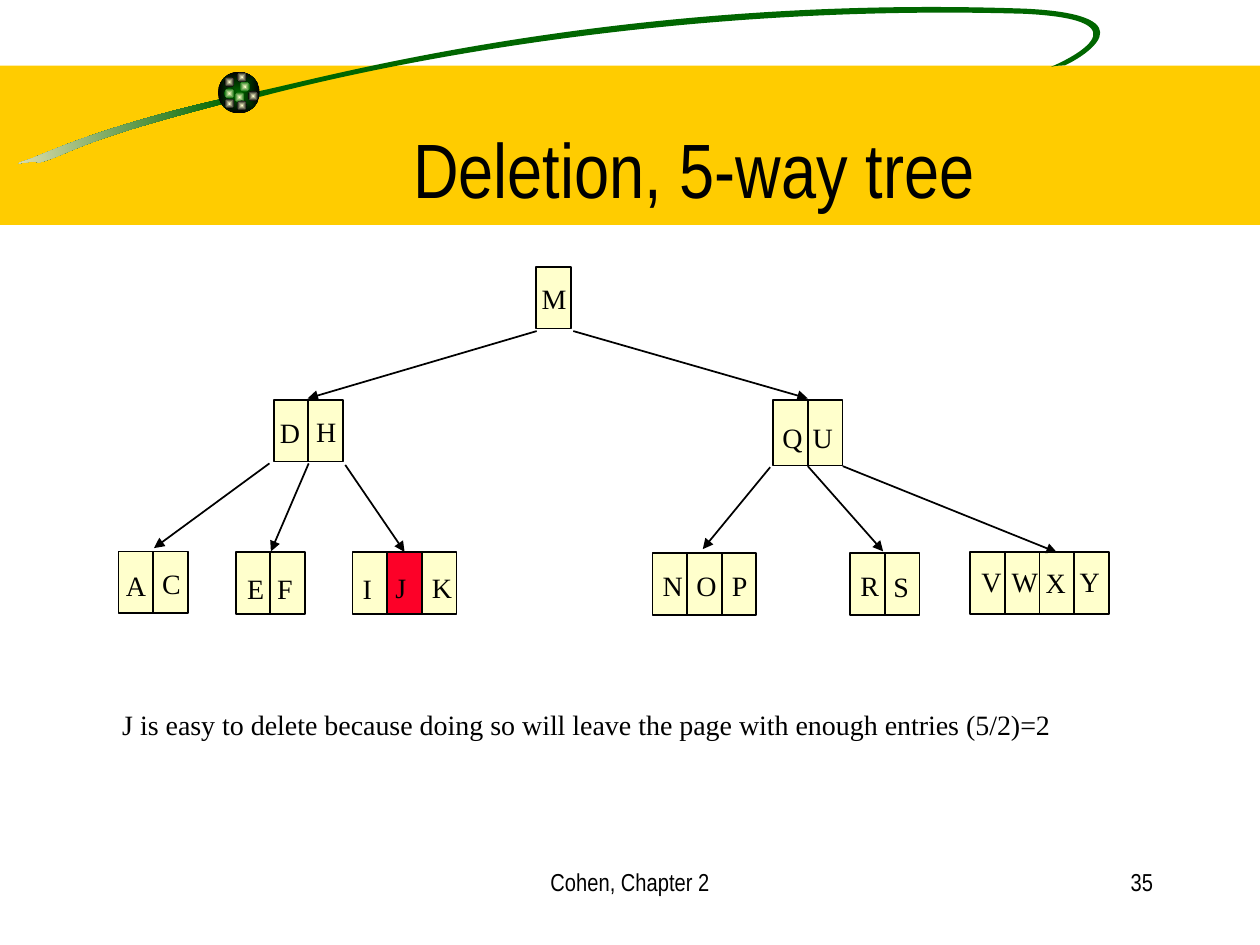
from math import cos, radians, sin
from lxml.etree import SubElement
from pptx import Presentation
from pptx.dml.color import RGBColor
from pptx.enum.shapes import MSO_CONNECTOR, MSO_SHAPE
from pptx.enum.text import MSO_ANCHOR, MSO_AUTO_SIZE, PP_ALIGN
from pptx.oxml.ns import qn
from pptx.util import Pt

GREEN, GOLD, CREAM, RED = "006600", "FFCC00", "FFFFCC", "FC0128"
BLACK, WHITE, SAND = "000000", "FFFFFF", "F5EBC1"
SERIF, SANS = "Times New Roman", "Arial Narrow"
CELL = 19.8   # pitch of the keys in a node
TILT = 351.5  # turn of the brush strokes
KEY_W = {"M": 28.8, "W": 29.5, "C": 25, "R": 25, "E": 24, "F": 23,
         "P": 23, "S": 23, "I": 19.5, "J": 20}

# left, top, height, then the offset of each key's label from the node
NODES = {
    "M": (306.4, 152.5, 35.3, [(-4, 5.1)]),
    "DH": (156.4, 228.4, 35.3, [(-3.6, 5.7), (17.1, 5)]),
    "QU": (441.9, 228.7, 37.4, [(-1.9, 8.1), (15.3, 8.1)]),
    "AC": (67.7, 315.2, 35.3, [(-2.9, 5.9), (17.9, 5.1)]),
    "EF": (134.7, 315.4, 35.3, [(-0.6, 7.9), (16.5, 7.9)]),
    "IJK": (201.5, 315.4, 35.3, [(-1.4, 7.7), (17.4, 7.2), (38.2, 7.2)]),
    "NOP": (372.8, 316, 35.3, [(-1.2, 5.1), (18.1, 5.1), (38.3, 5.1)]),
    "RS": (485.8, 316, 35.3, [(-1.2, 5.1), (17.6, 5.8)]),
    "VWXY": (554.4, 315.6, 35.3,
             [(-0.7, 3.4), (16.6, 3.4), (36, 4.1), (55.4, 3.4)]),
}
# start, end, and the key whose top the arrow joins, if any
ARROWS = [
    (306.7, 189.2, 175.8, 227.7, None), (327.6, 189.2, 461.6, 227.7, None),
    (154, 264.8, 88, 313.2, None), (176.4, 264.8, 154.8, 315.1, None),
    (197.3, 265.7, 231.1, 315.4, "J"), (440.1, 267, 401.6, 313.8, None),
    (461.6, 266.4, 504.7, 315.1, None), (481.6, 266.4, 604.8, 315.4, "X"),
]
# brush strokes: box, start and cubic curves, as drawn after the turn
TAIL = ((-2.2, 65.5, 132.5, 21.6), (128.2, 56.2), [
    [(65.5, 70.6), (35.3, 83.5), (18, 90.7)],
    [(0.7, 96.5), (18.7, 90.7), (22.3, 92.9)],
    [(41, 87.8), (41, 81.4), (128.9, 59)],
    [(128.9, 59), (128.2, 56.2), (128.2, 56.2)]])
LOOP = ((144.7, -10.8, 515.5, 78.5), (145.4, 52.6), [
    [(177.1, 46.8), (349.9, -3.6), (586.1, 5)],
    [(660.2, 8.6), (617, 33.8), (608.4, 37.4)],
    [(608.4, 37.4), (603.4, 37.4), (600.5, 38.2)],
    [(607.7, 35.3), (659.5, 11.5), (585.4, 7.9)],
    [(394.6, 2.2), (230.4, 33.8), (148.3, 55.4)],
    [(148.3, 55.4), (145.4, 52.6), (145.4, 52.6)]])
# place within the ball, and rim colour
SPOTS = [(12.4, 5.6, GREEN), (3.6, 2.9, BLACK), (3.6, 9.5, GREEN),
         (9.4, 11.6, GREEN), (17.2, 11, BLACK), (10.7, 16.4, BLACK),
         (3.6, 15.3, BLACK), (10.7, 0.2, BLACK)]


def color(code):
    return RGBColor.from_string(code)


def paint(fill, code):
    fill.solid()
    fill.fore_color.rgb = color(code)


def shade(fill, first, last):
    """Blend from the first colour at the right to the last at the left."""
    fill.gradient()
    for stop, code, place in zip(fill.gradient_stops, (first, last), (0, 1)):
        stop.color.rgb = color(code)
        stop.position = place
    fill.gradient_angle = 180


def glow(shape, core, rim):
    """Shade a shape from its middle outwards."""
    shade(shape.fill, core, rim)
    grad = shape.element.spPr.find(qn("a:gradFill"))
    grad.remove(grad.find(qn("a:lin")))
    way = SubElement(grad, qn("a:path"))
    way.set("path", "rect")
    rect = SubElement(way, qn("a:fillToRect"))
    for side in "ltrb":
        rect.set(side, "50000")


def add_form(slide, kind, box, fill=None, line=None):
    shape = slide.shapes.add_shape(kind, *map(Pt, box))
    shape.shadow.inherit = False
    if fill:
        paint(shape.fill, fill)
    if line:
        shape.line.color.rgb = color(line)
        shape.line.width = Pt(1)
    else:
        shape.line.fill.background()
    return shape


def set_text(frame, text, size, face, align=PP_ALIGN.LEFT, **form):
    base = {"word_wrap": True, "auto_size": MSO_AUTO_SIZE.NONE,
            "margin_left": Pt(7.2), "margin_right": Pt(7.2),
            "margin_top": Pt(3.6), "margin_bottom": Pt(3.6)}
    for name, value in {**base, **form}.items():
        setattr(frame, name, value)
    para = frame.paragraphs[0]
    para.text = text
    para.alignment = align
    for name, value in {"size": Pt(size), "name": face, "bold": False}.items():
        setattr(para.font, name, value)
    para.font.color.rgb = color(BLACK)


def add_text(slide, box, *args, **form):
    label = slide.shapes.add_textbox(*map(Pt, box))
    set_text(label.text_frame, *args, **form)


def add_stroke(slide, box, start, curves):
    """Add a turned outline of cubic curves that fills the given box."""
    left, top, wide, high = box
    pen = slide.shapes.build_freeform(Pt(left), Pt(top))
    pen.add_line_segments([(Pt(left + wide), Pt(top)),
                           (Pt(left + wide), Pt(top + high)),
                           (Pt(left), Pt(top + high))], close=True)
    shape = pen.convert_to_shape()
    shape.shadow.inherit = False
    shape.line.fill.background()
    shape.rotation = TILT
    turn = radians(360 - TILT)
    route = next(shape.element.iter(qn("a:path")))
    for child in list(route):
        route.remove(child)

    def add_step(tag, dots):
        step = SubElement(route, qn(tag))
        for x, y in dots:
            dx, dy = x - left - wide / 2, y - top - high / 2
            dot = SubElement(step, qn("a:pt"))
            dot.set("x", str(Pt(wide / 2 + dx * cos(turn) - dy * sin(turn))))
            dot.set("y", str(Pt(high / 2 + dx * sin(turn) + dy * cos(turn))))

    add_step("a:moveTo", [start])
    for curve in curves:
        add_step("a:cubicBezTo", curve)
    SubElement(route, qn("a:close"))
    return shape


def add_ball(slide, left, top, size):
    ball = add_form(slide, MSO_SHAPE.OVAL, (left, top, size, size))
    glow(ball, GREEN, BLACK)
    for x, y, rim in SPOTS:
        spot = add_form(slide, MSO_SHAPE.OVAL, (left + x, top + y, 5.8, 5.8))
        glow(spot, CREAM, rim)


def add_banner(slide, box):
    add_form(slide, MSO_SHAPE.RECTANGLE, box, GOLD)
    shade(add_stroke(slide, *TAIL).fill, GREEN, SAND)
    paint(add_stroke(slide, *LOOP).fill, GREEN)
    add_ball(slide, 124.6, box[1] + 3.5, 23.8)


def add_veil(slide, box):
    """Add the half-clear white panel at the left."""
    veil = add_form(slide, MSO_SHAPE.RECTANGLE, box, WHITE)
    tint = next(veil.element.spPr.iter(qn("a:srgbClr")))
    SubElement(tint, qn("a:alpha")).set("val", "50000")


def add_title(slide, box, text):
    title = slide.shapes.title
    for name, value in zip(("left", "top", "width", "height"), box):
        setattr(title, name, Pt(value))
    set_text(title.text_frame, text, 44, SANS, PP_ALIGN.CENTER,
             vertical_anchor=MSO_ANCHOR.BOTTOM)
    tree = slide.shapes.element
    tree.remove(title.element)
    tree.append(title.element)  # in front of the banner


def add_node(slide, keys, left, top, height, shifts):
    cells = {}
    for i, key in enumerate(keys):
        cells[key] = add_form(
            slide, MSO_SHAPE.RECTANGLE, (left + i * CELL, top, CELL, height),
            RED if key == "J" else CREAM, BLACK)
    for key, (dx, dy) in zip(keys, shifts):
        add_text(slide, (left + dx, top + dy, KEY_W.get(key, 26), 26),
                 key, 16, SERIF, word_wrap=False)
    return cells


def add_arrow(slide, ends, goal):
    arrow = slide.shapes.add_connector(MSO_CONNECTOR.STRAIGHT, *map(Pt, ends))
    if goal:
        arrow.end_connect(goal, 0)
    arrow.line.color.rgb = color(BLACK)
    arrow.line.width = Pt(1)
    line = arrow.element.spPr.find(qn("a:ln"))
    SubElement(line, qn("a:tailEnd")).set("type", "triangle")
    SubElement(arrow.element.spPr, qn("a:effectLst"))


def add_tree(slide):
    cells = {}
    for keys, node in NODES.items():
        cells.update(add_node(slide, keys, *node))
    for *ends, goal in ARROWS:
        add_arrow(slide, ends, cells.get(goal))


def main():
    deck = Presentation()
    deck.slide_width, deck.slide_height = Pt(720), Pt(540)
    slide = deck.slides.add_slide(deck.slide_layouts[5])
    add_banner(slide, (0, 37.5, 720, 91))
    add_veil(slide, (53.3, 148.3, 87.8, 391.7))
    add_title(slide, (90.7, 36, 612, 90), "Deletion, 5-way tree")
    add_tree(slide)
    add_text(slide, (62.8, 401, 628.6, 26),
             "J is easy to delete because doing so will leave the page "
             "with enough entries (5/2)=2", 16, SERIF)
    add_text(slide, (246, 492, 228, 36), "Cohen, Chapter 2", 14, SANS, PP_ALIGN.CENTER)
    add_text(slide, (516, 492, 150, 36), "35", 14, SANS, PP_ALIGN.RIGHT)
    deck.save("out.pptx")


if __name__ == "__main__":
    main()
